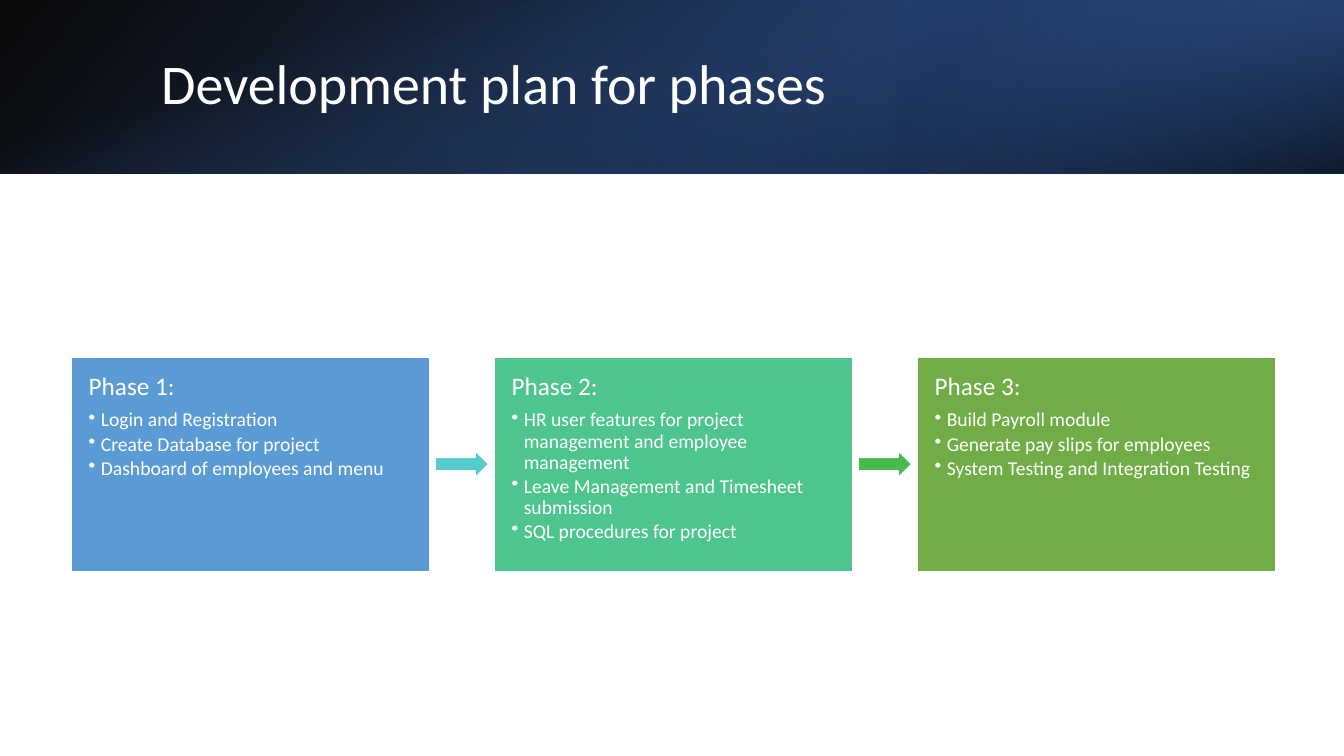
from lxml import etree
from pptx import Presentation
from pptx.dml.color import RGBColor
from pptx.enum import shapes, text
from pptx.oxml import ns
from pptx.util import Inches, Pt

COLORS = {
    "white": "FFFFFF",
    "black": "000000",
    "navy": "203864",
    "deep_blue": "2F5597",
    "royal_blue": "4472C4",
    "phase_1": "5B9BD5",
    "phase_2": "4DC58D",
    "phase_3": "70AD47",
    "step_1": "54CCCD",
    "step_2": "48BB4F",
}
FONT = "Calibri"
BANNER_HEIGHT = 1.72
SLIDE_WIDTH = 13.33
PHASE_LEFT, PHASE_TOP, PHASE_WIDTH, PHASE_HEIGHT = 0.71, 3.54, 3.55, 2.13
PHASE_PITCH = 4.195
STEP_WIDTH, STEP_HEIGHT = 0.53, 0.27
PHASES = [
    ("Phase 1:", [
        "Login and Registration",
        "Create Database for project",
        "Dashboard of employees and menu",
    ]),
    ("Phase 2:", [
        "HR user features for project management and employee management",
        "Leave Management and Timesheet submission",
        "SQL procedures for project",
    ]),
    ("Phase 3:", [
        "Build Payroll module",
        "Generate pay slips for employees",
        "System Testing and Integration Testing",
    ]),
]


def rgb(color):
    return RGBColor.from_string(COLORS[color])


def add_preset(slide, preset, left, top, width, height):
    preset_shape = slide.shapes.add_shape(
        preset, Inches(left), Inches(top), Inches(width), Inches(height))
    preset_shape.shadow.inherit = False
    return preset_shape


def add_gradient_layer(slide, box, stops, angle, rotation=0, flipped=False):
    layer = add_preset(slide, shapes.MSO_SHAPE.RECTANGLE, *box)
    layer.rotation = rotation
    if flipped:
        layer._element.spPr.xfrm.set("flipH", "1")
    layer.line.fill.background()
    layer.fill.gradient()
    layer.fill.gradient_angle = 360 - angle
    for stop, (position, color, _) in zip(layer.fill.gradient_stops, stops):
        stop.position = position / 100
        stop.color.rgb = rgb(color)
    tints = layer._element.spPr.iter(ns.qn("a:srgbClr"))
    for tint, (_, _, opacity) in zip(tints, stops):
        etree.SubElement(tint, ns.qn("a:alpha"), val=str(opacity * 1000))


def add_banner(slide):
    add_gradient_layer(
        slide, (0, 0, SLIDE_WIDTH, BANNER_HEIGHT),
        [(0, "black", 96), (100, "deep_blue", 100)], 140, flipped=True)
    third = SLIDE_WIDTH / 3
    add_gradient_layer(
        slide, (2 * third, 0, third, BANNER_HEIGHT),
        [(19, "navy", 68), (100, "royal_blue", 79)], 320, 180, True)
    offset = (SLIDE_WIDTH - BANNER_HEIGHT) / 2
    add_gradient_layer(
        slide, (offset, -offset, BANNER_HEIGHT, SLIDE_WIDTH),
        [(23, "royal_blue", 0), (99, "black", 74)], 340, 90)


def write_line(paragraph, wording, size, space_share=0):
    paragraph.alignment = text.PP_ALIGN.LEFT
    paragraph.line_spacing = 0.9
    paragraph.space_after = Pt(size * space_share)
    run = paragraph.add_run()
    run.text = wording
    run.font.name = FONT
    run.font.size = Pt(size)
    run.font.color.rgb = rgb("white")


def add_bullet(paragraph):
    properties = paragraph._p.get_or_add_pPr()
    properties.set("lvl", "1")
    properties.set("marL", str(Inches(0.12)))
    properties.set("indent", str(Inches(-0.12)))
    etree.SubElement(properties, ns.qn("a:buChar"), char="•")


def add_title(slide, wording):
    title = slide.shapes.add_textbox(
        Inches(1.5), Inches(0.38), Inches(10.98), Inches(0.96))
    frame = title.text_frame
    frame.word_wrap = True
    frame.vertical_anchor = text.MSO_ANCHOR.MIDDLE
    write_line(frame.paragraphs[0], wording, 40)


def paint(block, color):
    block.fill.solid()
    block.fill.fore_color.rgb = rgb(color)
    block.line.color.rgb = rgb("white")
    block.line.width = Pt(1)


def add_phase(slide, left, color, heading, tasks):
    phase = add_preset(slide, shapes.MSO_SHAPE.RECTANGLE,
                       left, PHASE_TOP, PHASE_WIDTH, PHASE_HEIGHT)
    paint(phase, color)
    frame = phase.text_frame
    frame.word_wrap = True
    frame.vertical_anchor = text.MSO_ANCHOR.TOP
    frame.margin_left = frame.margin_right = Inches(0.17)
    frame.margin_top = frame.margin_bottom = Inches(0.17)
    write_line(frame.paragraphs[0], heading, 18, 0.35)
    for task in tasks:
        paragraph = frame.add_paragraph()
        write_line(paragraph, task, 14, 0.15)
        add_bullet(paragraph)


def add_step(slide, phase_left, color):
    gap = PHASE_PITCH - PHASE_WIDTH
    left = phase_left + PHASE_WIDTH + (gap - STEP_WIDTH) / 2
    top = PHASE_TOP + (PHASE_HEIGHT - STEP_HEIGHT) / 2
    step = add_preset(slide, shapes.MSO_SHAPE.RIGHT_ARROW,
                      left, top, STEP_WIDTH, STEP_HEIGHT)
    paint(step, color)


def main():
    deck = Presentation()
    deck.slide_width = Inches(SLIDE_WIDTH)
    deck.slide_height = Inches(7.5)
    slide = deck.slides.add_slide(deck.slide_layouts[6])
    add_banner(slide)
    add_title(slide, "Development plan for phases")
    for number, (heading, tasks) in enumerate(PHASES, 1):
        left = PHASE_LEFT + (number - 1) * PHASE_PITCH
        add_phase(slide, left, f"phase_{number}", heading, tasks)
        if number < len(PHASES):
            add_step(slide, left, f"step_{number}")
    deck.save("out.pptx")


if __name__ == "__main__":
    main()
